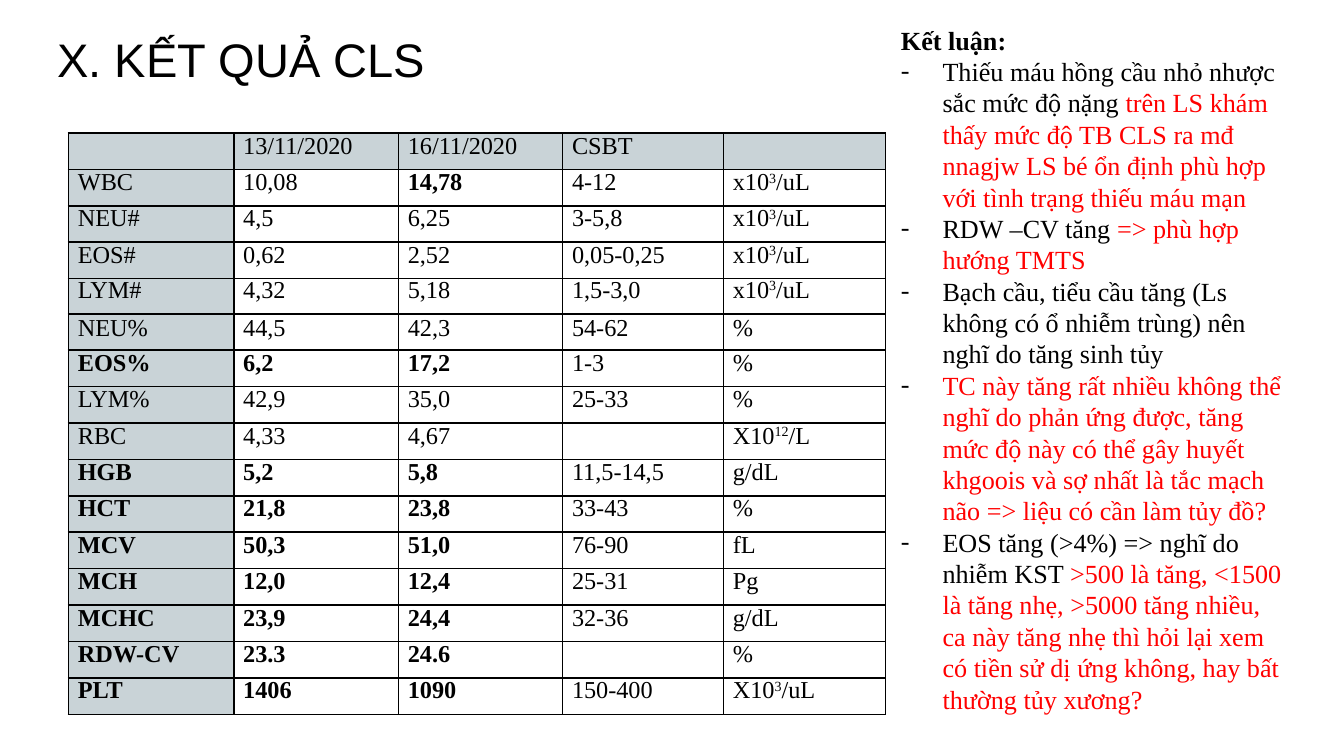
from lxml import etree
from pptx import Presentation
from pptx.dml.color import RGBColor
from pptx.enum.text import MSO_ANCHOR
from pptx.oxml.ns import qn
from pptx.util import Emu, Inches, Pt

TOP = MSO_ANCHOR.TOP
COLORS = {"black": "000000", "red": "FF0000", "header": "C9D3D7"}
GRID_COLUMNS, GRID_ROWS = 100, 56.25

# "|" separates cells, a leading "*" makes a cell bold, "^" encloses a superscript.
RESULTS = [
    "|13/11/2020|16/11/2020|CSBT|",
    "WBC|10,08|*14,78|4-12|x10^3^/uL",
    "NEU#|4,5|6,25|3-5,8|x10^3^/uL",
    "EOS#|0,62|2,52|0,05-0,25|x10^3^/uL",
    "LYM#|4,32|5,18|1,5-3,0|x10^3^/uL",
    "NEU%|44,5|42,3|54-62|%",
    "*EOS%|*6,2|*17,2|1-3|%",
    "LYM%|42,9|35,0|25-33|%",
    "RBC|4,33|4,67||X10^12^/L",
    "*HGB|*5,2|*5,8|11,5-14,5|g/dL",
    "*HCT|*21,8|*23,8|33-43|%",
    "*MCV|*50,3|*51,0|76-90|fL",
    "*MCH|*12,0|*12,4|25-31|Pg",
    "*MCHC|*23,9|*24,4|32-36|g/dL",
    "*RDW-CV|*23.3|*24.6||%",
    "*PLT|*1406|*1090|150-400|X10^3^/uL",
]
COLUMN_WIDTHS = [12.3, 12.25, 12.22, 11.97, 12.05]
ROW_HEIGHT = 2.71
SHORT_ROWS = {4: 2.62}
LINE_SPACING = {4: 13.2, 5: 14.8, 9: 14.1}

# Each conclusion is a black part followed by a red part.
CONCLUSIONS = [
    ("Thiếu máu hồng cầu nhỏ nhược sắc mức độ nặng ",
     "trên LS khám thấy mức độ TB CLS ra mđ nnagjw LS bé ổn định phù hợp "
     "với tình trạng thiếu máu mạn"),
    ("RDW –CV tăng ", "=> phù hợp hướng TMTS"),
    ("Bạch cầu, tiểu cầu tăng (Ls không có ổ nhiễm trùng) nên nghĩ do tăng sinh tủy", ""),
    ("", "TC này tăng rất nhiều không thể nghĩ do phản ứng được, tăng mức độ này "
         "có thể gây huyết khgoois và sợ nhất là tắc mạch não => liệu có cần làm tủy đồ?"),
    ("EOS tăng (>4%) => nghĩ do nhiễm KST ",
     ">500 là tăng, <1500 là tăng nhẹ, >5000 tăng nhiều, ca này tăng nhẹ thì hỏi lại "
     "xem có tiền sử dị ứng không, hay bất thường tủy xương?"),
]


def add_element(parent, tag, **attributes):
    return etree.SubElement(parent, qn(tag), attributes)


def set_values(target, values):
    for name, value in values.items():
        setattr(target, name, value)


class SlideBuilder:
    title_font = {"name": "Arial", "size": Pt(25.2)}
    body_font = {"name": "Times New Roman", "size": Pt(14)}
    table_font = {"name": "Times New Roman", "size": Pt(13)}

    def __init__(self, presentation):
        self.slide = presentation.slides.add_slide(presentation.slide_layouts[6])
        self.column = presentation.slide_width / GRID_COLUMNS
        self.row = presentation.slide_height / GRID_ROWS

    def box(self, left, top, width, height):
        return [Emu(round(length)) for length in (
            left * self.column, top * self.row, width * self.column, height * self.row)]

    def run(self, paragraph, text, font, color="black", bold=False):
        run = paragraph.add_run()
        run.text = text
        set_values(run.font, {**font, "bold": bold})
        run.font.color.rgb = RGBColor.from_string(COLORS[color])
        return run

    def text_frame(self, *position):
        frame = self.slide.shapes.add_textbox(*self.box(*position)).text_frame
        set_values(frame, {"word_wrap": True, "vertical_anchor": TOP})
        return frame

    def title(self, text, *position):
        frame = self.text_frame(*position)
        for side in ("left", "top", "right", "bottom"):
            setattr(frame, f"margin_{side}", Inches(0.1))
        self.run(frame.paragraphs[0], text, self.title_font)

    def bullet_list(self, heading, items, *position):
        frame = self.text_frame(*position)
        self.run(frame.paragraphs[0], heading, self.body_font, bold=True)
        for item in items:
            paragraph = frame.add_paragraph()
            self.bullet(paragraph)
            for text, color in zip(item, ("black", "red")):
                if text:
                    self.run(paragraph, text, self.body_font, color)
        for paragraph in frame.paragraphs:
            paragraph.line_spacing = Pt(16.8)

    def bullet(self, paragraph):
        properties = paragraph._p.get_or_add_pPr()
        indent = Inches(0.31)
        properties.set("marL", str(indent))
        properties.set("indent", str(-indent))
        add_element(add_element(properties, "a:buClr"), "a:srgbClr", val=COLORS["black"])
        add_element(properties, "a:buFont", typeface=self.body_font["name"])
        add_element(properties, "a:buChar", char="-")

    def table(self, rows, widths, left, top):
        heights = [SHORT_ROWS.get(index, ROW_HEIGHT) for index in range(len(rows))]
        position = self.box(left, top, sum(widths), sum(heights))
        table = self.slide.shapes.add_table(len(rows), len(widths), *position).table
        set_values(table, {"first_row": False, "horz_banding": False})
        for column, width in zip(table.columns, widths):
            column.width = Emu(round(width * self.column))
        for row, height in zip(table.rows, heights):
            row.height = Emu(round(height * self.row))
        for row_index, row in enumerate(rows):
            for column_index, text in enumerate(row.split("|")):
                cell = table.cell(row_index, column_index)
                self.cell(cell, text, LINE_SPACING.get(row_index, 14))
                if row_index == 0 or column_index == 0:
                    cell.fill.solid()
                    cell.fill.fore_color.rgb = RGBColor.from_string(COLORS["header"])
                else:
                    cell.fill.background()

    def cell(self, cell, text, spacing):
        for side in ("left", "top", "right", "bottom"):
            setattr(cell, f"margin_{side}", 0)
        paragraph = cell.text_frame.paragraphs[0]
        paragraph.line_spacing = Pt(spacing)
        paragraph._p.get_or_add_pPr().set("marL", str(Inches(0.07)))
        bold = text.startswith("*")
        for index, part in enumerate(text.lstrip("*").split("^")):
            if part:
                run = self.run(paragraph, part, self.table_font, bold=bold)
                if index % 2:
                    run.font._element.set("baseline", "30000")
        if not text:
            size = round(self.table_font["size"].pt * 100)
            add_element(paragraph._p, "a:endParaRPr", sz=str(size))
        properties = cell._tc.get_or_add_tcPr()
        for side in "LRTB":
            line = add_element(properties, f"a:ln{side}", w=str(Pt(1)))
            add_element(add_element(line, "a:solidFill"), "a:srgbClr", val=COLORS["black"])


def main():
    presentation = Presentation()
    width = Inches(10)
    set_values(presentation, {"slide_width": width, "slide_height": width * 9 // 16})
    builder = SlideBuilder(presentation)
    builder.title("X. KẾT QUẢ CLS", 3.3, 1.3, 93.2, 6.3)
    builder.table(RESULTS, COLUMN_WIDTHS, 5.1, 9.9)
    builder.bullet_list("Kết luận:", CONCLUSIONS, 66.05, 1.3, 30.7, 52.8)
    presentation.save("out.pptx")


if __name__ == "__main__":
    main()
